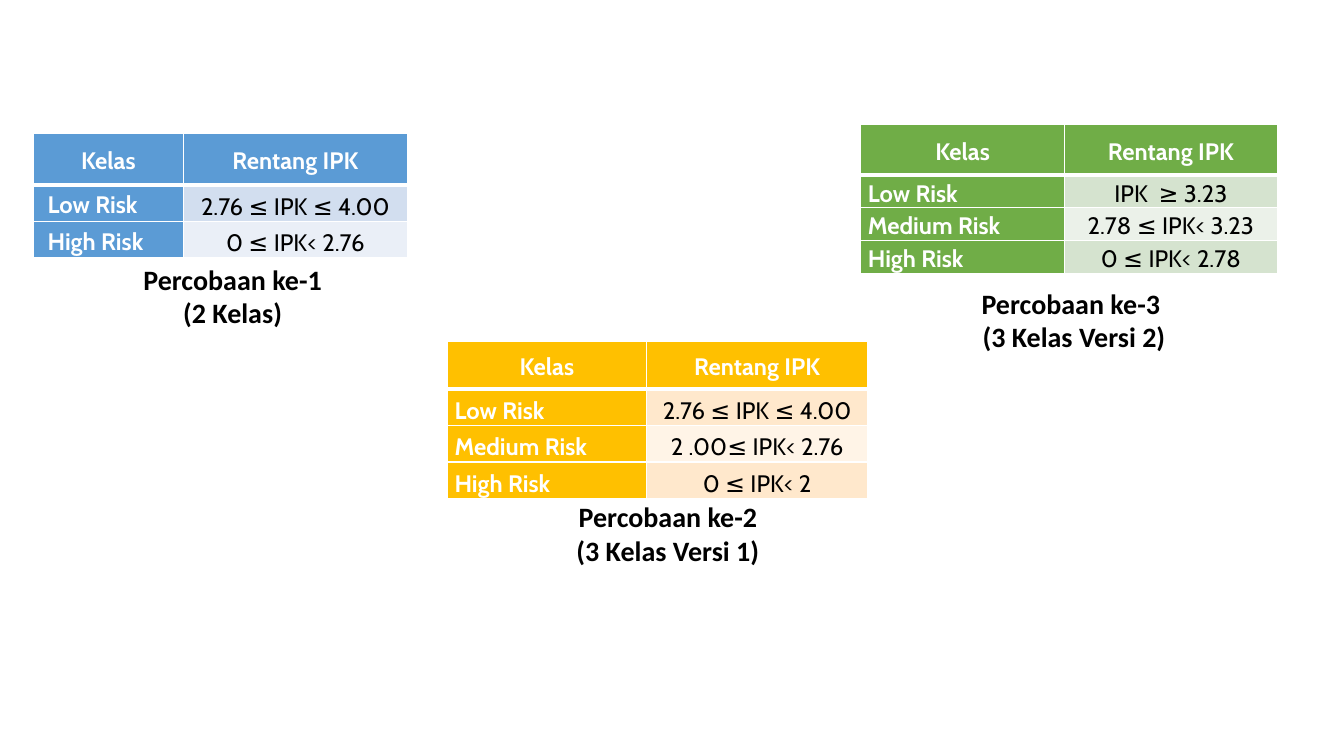
from dataclasses import dataclass

from lxml.etree import SubElement
from pptx import Presentation
from pptx.dml.color import RGBColor
from pptx.enum.text import MSO_ANCHOR, PP_ALIGN
from pptx.oxml.ns import qn
from pptx.slide import Slide
from pptx.table import _Cell
from pptx.text.text import _Paragraph
from pptx.util import Pt


@dataclass(frozen=True)
class Theme:
    white: str = "FFFFFF"
    black: str = "000000"
    blue: tuple[str, str, str] = ("5B9BD5", "D2DEEF", "EAEFF7")
    gold: tuple[str, str, str] = ("FFC000", "FFE8CC", "FFF4E7")
    green: tuple[str, str, str] = ("70AD47", "D5E3CF", "EBF1E9")
    cell_font: str = "Cabin"
    cell_size: float = 17
    note_font: str = "Calibri"
    note_size: float = 20
    thin: float = 1
    thick: float = 3


@dataclass(frozen=True)
class Trial:
    """One class table and its caption; lengths in points, note is left, top, width."""
    left: float
    top: float
    cols: tuple[float, float]
    head: float
    row: float
    inset: float
    tints: tuple[str, str, str]
    anchors: tuple[MSO_ANCHOR, MSO_ANCHOR]
    ranges: dict[str, str]
    note: tuple[float, float, float]
    lines: tuple[str, str]


THEME = Theme()
MID, LOW = MSO_ANCHOR.MIDDLE, MSO_ANCHOR.BOTTOM
NOTE_TALL = 54

TRIALS = [
    Trial(24, 95.2, (107, 160), 36.8, 26.1, 10, THEME.blue, (MID, LOW),
          {"Low Risk": "2.76 ≤ IPK ≤ 4.00", "High Risk": "0 ≤ IPK< 2.76"},
          (-13.7, 183.6, 364.3), ("Percobaan ke-1 ", "(2 Kelas) ")),
    Trial(319.7, 244, (142, 158.3), 33.8, 26.1, 5, THEME.gold, (LOW, LOW),
          {"Low Risk": "2.76 ≤ IPK ≤ 4.00", "Medium Risk": "2 .00≤ IPK< 2.76",
           "High Risk": "0 ≤ IPK< 2"},
          (329.8, 353.5, 294.5), ("Percobaan ke-2", "(3 Kelas Versi 1)")),
    Trial(614.9, 88.8, (145.5, 152), 36, 23.5, 5, THEME.green, (LOW, MID),
          {"Low Risk": "IPK  ≥ 3.23", "Medium Risk": "2.78 ≤ IPK< 3.23",
           "High Risk": "0 ≤ IPK< 2.78"},
          (619.9, 200.9, 294.5), ("Percobaan ke-3 ", "(3 Kelas Versi 2)")),
]


def style(para: _Paragraph, face: str, size: float, color: str, bold: bool,
          align: PP_ALIGN) -> None:
    para.alignment = align
    font = para.font
    font.name, font.size, font.bold = face, Pt(size), bold
    font.color.rgb = RGBColor.from_string(color)


def edge(cell: _Cell, top: float, base: float) -> None:
    """Draw white borders, with their own widths above and below."""
    props = cell._tc.get_or_add_tcPr()
    widths = {"a:lnL": THEME.thin, "a:lnR": THEME.thin, "a:lnT": top, "a:lnB": base}
    for tag, width in widths.items():
        line = SubElement(props, qn(tag), w=str(Pt(width)))
        SubElement(SubElement(line, qn("a:solidFill")), qn("a:srgbClr"), val=THEME.white)


def fill_cell(cell: _Cell, trial: Trial, row: int, col: int, text: str) -> None:
    main, *bands = trial.tints
    head, label = row == 0, col == 0
    strong = head or label
    edge(cell, THEME.thick if row == 1 else THEME.thin,
         THEME.thick if head else THEME.thin)
    cell.fill.solid()
    cell.fill.fore_color.rgb = RGBColor.from_string(main if strong else bands[(row - 1) % 2])
    cell.margin_left = cell.margin_right = Pt(trial.inset)
    cell.margin_top = cell.margin_bottom = Pt(0)
    cell.vertical_anchor = MID if head else trial.anchors[col]
    cell.text = text
    para = cell.text_frame.paragraphs[0]
    para.line_spacing = 1.15
    style(para, THEME.cell_font, THEME.cell_size, THEME.white if strong else THEME.black,
          strong, PP_ALIGN.LEFT if label and not head else PP_ALIGN.CENTER)


def add_grid(slide: Slide, trial: Trial) -> None:
    rows = [("Kelas", "Rentang IPK"), *trial.ranges.items()]
    tall = trial.head + trial.row * len(trial.ranges)
    table = slide.shapes.add_table(len(rows), 2, Pt(trial.left), Pt(trial.top),
                                   Pt(sum(trial.cols)), Pt(tall)).table
    table.horz_banding = False
    for col, width in zip(table.columns, trial.cols):
        col.width = Pt(width)
    for r, texts in enumerate(rows):
        table.rows[r].height = Pt(trial.row if r else trial.head)
        for c, text in enumerate(texts):
            fill_cell(table.cell(r, c), trial, r, c, text)


def add_note(slide: Slide, trial: Trial) -> None:
    left, top, width = trial.note
    frame = slide.shapes.add_textbox(Pt(left), Pt(top), Pt(width), Pt(NOTE_TALL)).text_frame
    frame.word_wrap = True
    frame.text = "\n".join(trial.lines)
    for para in frame.paragraphs:
        style(para, THEME.note_font, THEME.note_size, THEME.black, True, PP_ALIGN.CENTER)


def main() -> None:
    deck = Presentation()
    deck.slide_width, deck.slide_height = Pt(960), Pt(540)
    slide = deck.slides.add_slide(deck.slide_layouts[6])
    for trial in TRIALS:
        add_grid(slide, trial)
        add_note(slide, trial)
    deck.save("out.pptx")


if __name__ == "__main__":
    main()
